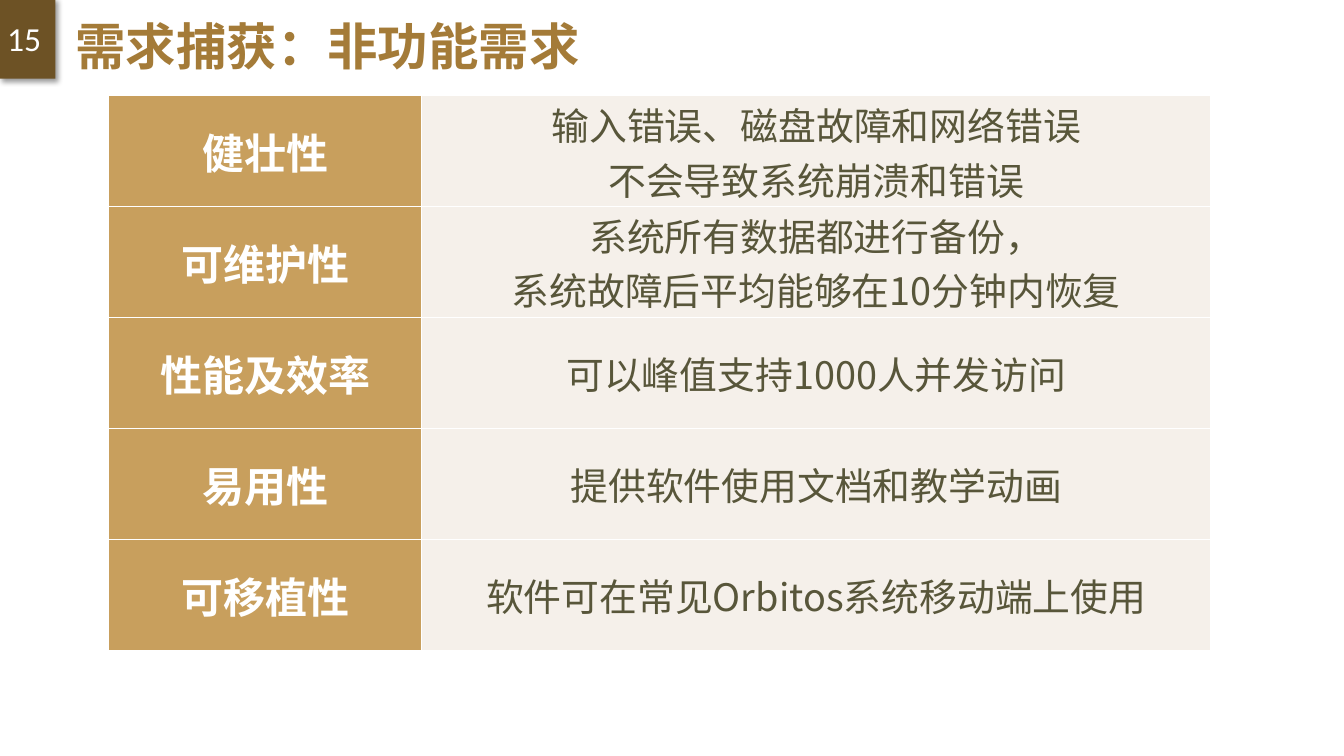
from lxml import etree
from pptx import Presentation
from pptx.dml.color import RGBColor
from pptx.enum.shapes import MSO_SHAPE
from pptx.enum.text import MSO_ANCHOR, PP_ALIGN
from pptx.oxml import parse_xml
from pptx.oxml.ns import nsdecls, qn
from pptx.util import Inches, Pt

RECTANGLE = MSO_SHAPE.RECTANGLE
MIDDLE = MSO_ANCHOR.MIDDLE
LEFT = PP_ALIGN.LEFT
CENTER = PP_ALIGN.CENTER

COLORS = {
    "badge": "6D5225",
    "title": "A47B38",
    "label": "C89F5D",
    "detail": "F5F0EA",
    "text": "58563A",
    "white": "FFFFFF",
    "shadow": "000000",
}
CHINESE_FONT = "Noto Sans CJK SC"
NUMBER_FONT = "Calibri"

REQUIREMENTS = [
    ("健壮性", "输入错误、磁盘故障和网络错误\n不会导致系统崩溃和错误"),
    ("可维护性", "系统所有数据都进行备份，\n系统故障后平均能够在10分钟内恢复"),
    ("性能及效率", "可以峰值支持1000人并发访问"),
    ("易用性", "提供软件使用文档和教学动画"),
    ("可移植性", "软件可在常见Orbitos系统移动端上使用"),
]
COLUMN_WIDTHS = (3.1, 7.83)
ROW_HEIGHT = 1.1


def color(name):
    return RGBColor.from_string(COLORS[name])


def write_text(text_frame, text, font_name, size, color_name, bold=False, alignment=LEFT):
    text_frame.text = text
    for paragraph in text_frame.paragraphs:
        paragraph.alignment = alignment
        font = paragraph.font
        font.size = Pt(size)
        font.bold = bold
        font.color.rgb = color(color_name)
        font.name = font_name
        east_asian = etree.SubElement(font._element, qn("a:ea"))
        east_asian.set("typeface", font_name)


def add_shadow(shape):
    shape.shadow.inherit = False
    effects = shape._element.spPr.find(qn("a:effectLst"))
    effects.append(parse_xml(
        f'<a:outerShdw {nsdecls("a")} blurRad="{Pt(4)}" dist="{Pt(3)}" dir="2700000">'
        f'<a:srgbClr val="{COLORS["shadow"]}"><a:alpha val="40000"/></a:srgbClr>'
        '</a:outerShdw>'))


def add_page_badge(slide, number):
    badge = slide.shapes.add_shape(
        RECTANGLE, Inches(-0.01), Inches(-0.02), Inches(0.56), Inches(0.8))
    badge.fill.solid()
    badge.fill.fore_color.rgb = color("badge")
    badge.line.fill.background()
    add_shadow(badge)
    text_frame = badge.text_frame
    text_frame.margin_left = text_frame.margin_right = Inches(0.08)
    text_frame.margin_top = text_frame.margin_bottom = Inches(0.2)
    text_frame.vertical_anchor = MIDDLE
    write_text(text_frame, number, NUMBER_FONT, 24, "white")


def add_title(slide, text):
    title = slide.shapes.add_textbox(
        Inches(0.65), Inches(-0.24), Inches(11.5), Inches(1.45))
    text_frame = title.text_frame
    text_frame.word_wrap = True
    text_frame.vertical_anchor = MIDDLE
    write_text(text_frame, text, CHINESE_FONT, 36, "title", bold=True)
    text_frame.paragraphs[0].line_spacing = 0.9


def add_borders(cell):
    properties = cell._tc.get_or_add_tcPr()
    for index, side in enumerate(("lnL", "lnR", "lnT", "lnB")):
        properties.insert(index, parse_xml(
            f'<a:{side} {nsdecls("a")} w="{Pt(1)}"><a:solidFill>'
            f'<a:srgbClr val="{COLORS["white"]}"/></a:solidFill></a:{side}>'))


def fill_cell(cell, text, fill_name, size, color_name, bold):
    cell.fill.solid()
    cell.fill.fore_color.rgb = color(fill_name)
    cell.vertical_anchor = MIDDLE
    cell.margin_left = cell.margin_right = Inches(0.07)
    cell.margin_top = cell.margin_bottom = 0
    write_text(cell.text_frame, text, CHINESE_FONT, size, color_name, bold, CENTER)
    add_borders(cell)


def add_requirements_table(slide, requirements):
    frame = slide.shapes.add_table(
        len(requirements), len(COLUMN_WIDTHS), Inches(1.08), Inches(0.95),
        Inches(sum(COLUMN_WIDTHS)), Inches(ROW_HEIGHT * len(requirements)))
    table = frame.table
    table.first_row = False
    table.horz_banding = False
    for column, width in zip(table.columns, COLUMN_WIDTHS):
        column.width = Inches(width)
    for row, (label, detail) in zip(table.rows, requirements):
        row.height = Inches(ROW_HEIGHT)
        fill_cell(row.cells[0], label, "label", 30, "white", True)
        fill_cell(row.cells[1], detail, "detail", 27, "text", False)


def main():
    presentation = Presentation()
    presentation.slide_width = Inches(13.33)
    presentation.slide_height = Inches(7.5)
    slide = presentation.slides.add_slide(presentation.slide_layouts[6])
    add_page_badge(slide, "15")
    add_title(slide, "需求捕获：非功能需求")
    add_requirements_table(slide, REQUIREMENTS)
    presentation.save("out.pptx")


if __name__ == "__main__":
    main()
